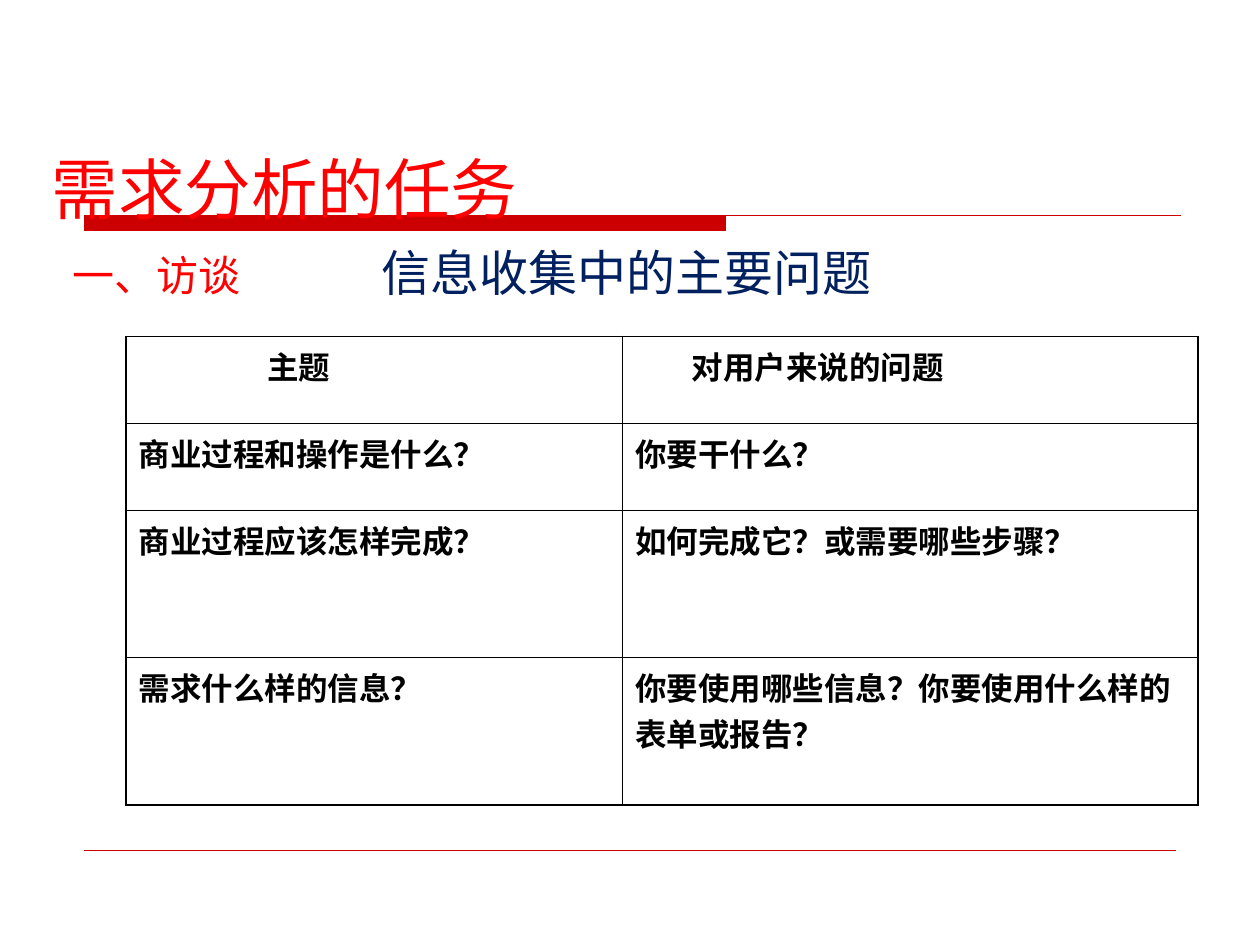
from lxml import etree
from pptx import Presentation
from pptx.dml.color import RGBColor
from pptx.enum.shapes import MSO_CONNECTOR
from pptx.enum.text import MSO_ANCHOR, MSO_AUTO_SIZE, PP_ALIGN
from pptx.oxml.ns import qn
from pptx.util import Inches, Pt

LINE = MSO_CONNECTOR.STRAIGHT
TOP, BOTTOM = MSO_ANCHOR.TOP, MSO_ANCHOR.BOTTOM
FIXED, GROW = MSO_AUTO_SIZE.NONE, MSO_AUTO_SIZE.SHAPE_TO_FIT_TEXT
LEFT = PP_ALIGN.LEFT
HAN = "Noto Sans CJK SC"
HUE = {"rule": "CC0000", "red": "FF0000", "navy": "002060", "ink": "000000"}


def write(frame, text, hue, **form):
    """Put one paragraph in a frame and format its run."""
    para = frame.paragraphs[0]
    para.alignment = LEFT
    para.space_before = Pt(0)
    run = para.add_run()
    run.text = text
    for key, value in form.items():
        setattr(run.font, key, value)
    run.font.color.rgb = RGBColor.from_string(HUE[hue])
    etree.SubElement(run.font._element, qn("a:ea"), typeface=HAN)
    return para


def place(shape, left, top, width, height):
    """Set a shape's box in inches."""
    box = {"left": left, "top": top, "width": width, "height": height}
    for key, value in box.items():
        setattr(shape, key, Inches(value))


deck = Presentation()
deck.slide_width, deck.slide_height = Inches(10), Inches(7.5)
slide = deck.slides.add_slide(deck.slide_layouts[1])
shapes = slide.shapes
title, body = slide.placeholders

# Bar with a thin rule running on to the right
edge, top, bar, end = (Inches(n) for n in (0.67, 1.71, 5.76, 9.37))
low = top + Inches(0.12)
pen = shapes.build_freeform(edge, top)
pen.add_line_segments([(bar, top), (bar, low), (edge, low)], close=True)
pen.move_to(edge, top)
pen.add_line_segments([(end, top)], close=False)
band = pen.convert_to_shape()
band.shadow.inherit = False
band.fill.solid()
band.fill.fore_color.rgb = RGBColor.from_string(HUE["rule"])

# Foot rule
foot = shapes.add_connector(LINE, edge, Inches(6.75), deck.slide_width - edge, Inches(6.75))
etree.SubElement(foot._element.spPr, qn("a:effectLst"))

for rule, width in ((band, 0.75), (foot, 0.25)):
    rule.line.color.rgb = RGBColor.from_string(HUE["rule"])
    rule.line.width = Pt(width)
for back in (foot, band):
    shapes._spTree.insert(2, back._element)

# Title
place(title, 0.31, 0.53, 8.63, 1.33)
title.text_frame.auto_size = FIXED
title.text_frame.vertical_anchor = BOTTOM
write(title.text_frame, "需求分析的任务", "red", size=Pt(38), name=HAN)

# Topic
place(body, 2.93, 1.93, 5.23, 0.74)
body.text_frame.auto_size = FIXED
body.text_frame.vertical_anchor = TOP
para = write(body.text_frame, "信息收集中的主要问题", "navy", size=Pt(28), name=HAN)
para.line_spacing = 0.9
props = para._p.get_or_add_pPr()
props.set("marL", "0")
props.set("indent", "0")
etree.SubElement(props, qn("a:buNone"))

# Section label
label = shapes.add_textbox(*(Inches(n) for n in (0.48, 1.93, 2.02, 0.5)))
label.text_frame.word_wrap = False
label.text_frame.auto_size = GROW
write(label.text_frame, "一、访谈", "red", size=Pt(24), name="Times New Roman")

# Table of questions
rows = [
    ("主题", "对用户来说的问题"),
    ("商业过程和操作是什么？", "你要干什么？"),
    ("商业过程应该怎样完成？", "如何完成它？或需要哪些步骤？"),
    ("需求什么样的信息？", "你要使用哪些信息？你要使用什么样的表单或报告？"),
]
widths, heights = (3.94, 4.57), (0.69, 0.69, 1.17, 1.17)
inset = (1.02, 0.45)
frame = shapes.add_table(len(rows), len(widths), Inches(1), Inches(2.67),
                         Inches(sum(widths)), Inches(sum(heights)))
grid = frame.table
grid.first_row = grid.horz_banding = False
for col, width in zip(grid.columns, widths):
    col.width = Inches(width)
for row, height in zip(grid.rows, heights):
    row.height = Inches(height)

for r, row in enumerate(rows):
    for c, text in enumerate(row):
        cell = grid.cell(r, c)
        para = write(cell.text_frame, text, "ink", size=Pt(18), name="Arial", bold=True)
        if r == 0:
            para._p.get_or_add_pPr().set("marL", str(Inches(inset[c])))
        # Outer sides are heavier than inner ones
        outer = {"lnL": c == 0, "lnR": c == len(widths) - 1,
                 "lnT": r == 0, "lnB": r == len(rows) - 1}
        props = cell._tc.get_or_add_tcPr()
        for side, heavy in outer.items():
            line = etree.SubElement(props, qn("a:" + side), w=str(Pt(1.08 if heavy else 0.45)))
            fill = etree.SubElement(line, qn("a:solidFill"))
            etree.SubElement(fill, qn("a:srgbClr"), val=HUE["ink"])
        cell.fill.background()

deck.save("out.pptx")
